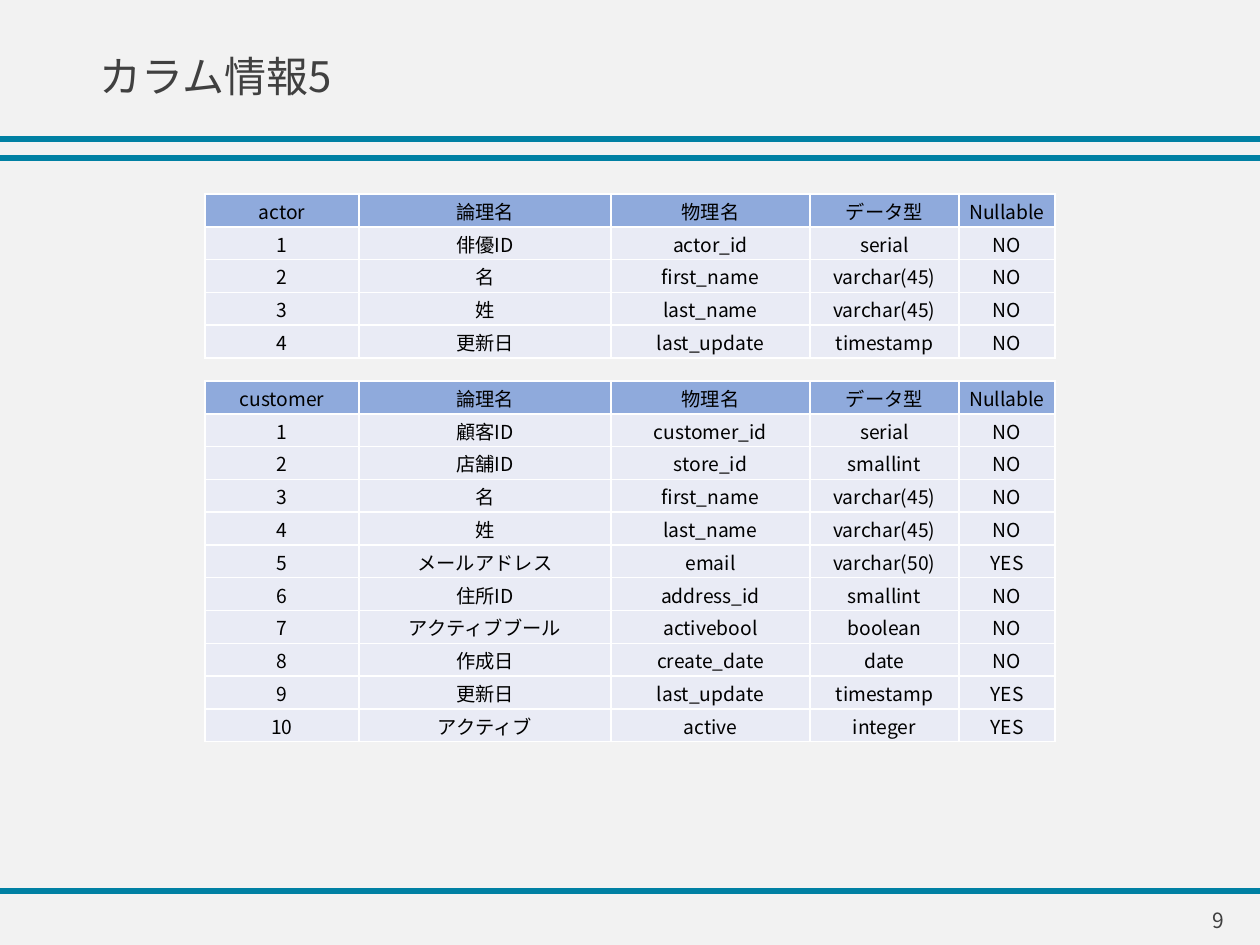
from lxml.etree import SubElement
from pptx import Presentation
from pptx.dml.color import RGBColor
from pptx.enum.shapes import MSO_CONNECTOR
from pptx.enum.text import MSO_ANCHOR, PP_ALIGN
from pptx.oxml.ns import qn
from pptx.util import Inches, Pt

PIXEL = Inches(1) / 126
SLIDE_WIDTH, SLIDE_HEIGHT = 1260, 945
FONT = "Noto Sans CJK JP"

BACKGROUND = RGBColor(0xF2, 0xF2, 0xF2)
RULE = RGBColor(0x00, 0x80, 0xA3)
GREY = RGBColor(0x40, 0x40, 0x40)
BLACK = RGBColor(0x00, 0x00, 0x00)
HEADER = RGBColor(0x8F, 0xAA, 0xDC)
BODY = RGBColor(0xE9, 0xEB, 0xF5)
WHITE = RGBColor(0xFF, 0xFF, 0xFF)

RULE_TOPS = (139, 158, 891)
COLUMN_WIDTHS = (154, 252, 199, 149, 96)
HEADINGS = ("論理名", "物理名", "データ型", "Nullable")

ACTOR_COLUMNS = (
    ("俳優ID", "actor_id", "serial", "NO"),
    ("名", "first_name", "varchar(45)", "NO"),
    ("姓", "last_name", "varchar(45)", "NO"),
    ("更新日", "last_update", "timestamp", "NO"),
)
CUSTOMER_COLUMNS = (
    ("顧客ID", "customer_id", "serial", "NO"),
    ("店舗ID", "store_id", "smallint", "NO"),
    ("名", "first_name", "varchar(45)", "NO"),
    ("姓", "last_name", "varchar(45)", "NO"),
    ("メールアドレス", "email", "varchar(50)", "YES"),
    ("住所ID", "address_id", "smallint", "NO"),
    ("アクティブブール", "activebool", "boolean", "NO"),
    ("作成日", "create_date", "date", "NO"),
    ("更新日", "last_update", "timestamp", "YES"),
    ("アクティブ", "active", "integer", "YES"),
)


def px(length):
    return round(length * PIXEL)


def format_text(text_frame, size, color, alignment):
    paragraph = text_frame.paragraphs[0]
    paragraph.alignment = alignment
    for run in paragraph.runs:
        run.font.size = Pt(size)
        run.font.name = FONT
        run.font.color.rgb = color
        SubElement(run.font._element, qn("a:ea"), typeface=FONT)


def add_rule(slide, left, top, width):
    rule = slide.shapes.add_connector(
        MSO_CONNECTOR.STRAIGHT, px(left), px(top), px(left + width), px(top)
    )
    rule.line.color.rgb = RULE
    rule.line.width = Pt(3)
    SubElement(rule._element.spPr, qn("a:effectLst"))


def place_title(slide, text, left, top, width, height):
    title = slide.shapes.title
    title.left, title.top = px(left), px(top)
    title.width, title.height = px(width), px(height)
    text_frame = title.text_frame
    text_frame.text = text
    text_frame.vertical_anchor = MSO_ANCHOR.MIDDLE
    text_frame.paragraphs[0].line_spacing = 0.9
    format_text(text_frame, 24, GREY, PP_ALIGN.LEFT)


def add_borders(cell):
    properties = cell._tc.get_or_add_tcPr()
    for position, side in enumerate(("a:lnL", "a:lnR", "a:lnT", "a:lnB")):
        border = properties.makeelement(qn(side), {"w": str(Pt(1))})
        properties.insert(position, border)
        fill = SubElement(border, qn("a:solidFill"))
        SubElement(fill, qn("a:srgbClr"), val=str(WHITE))


def fill_cell(cell, text, color):
    cell.text_frame.text = text
    cell.vertical_anchor = MSO_ANCHOR.MIDDLE
    cell.margin_left = cell.margin_right = cell.margin_top = px(1)
    cell.margin_bottom = 0
    cell.fill.solid()
    cell.fill.fore_color.rgb = color
    add_borders(cell)
    format_text(cell.text_frame, 11, BLACK, PP_ALIGN.CENTER)


def add_column_table(slide, name, columns, left, top, height):
    rows = [(name, *HEADINGS)]
    rows += [(str(number), *column) for number, column in enumerate(columns, 1)]
    table = slide.shapes.add_table(
        len(rows), len(COLUMN_WIDTHS),
        px(left), px(top), px(sum(COLUMN_WIDTHS)), px(height),
    ).table
    table.horz_banding = False
    for column, width in zip(table.columns, COLUMN_WIDTHS):
        column.width = px(width)
    for row_index, values in enumerate(rows):
        table.rows[row_index].height = px(height / len(rows))
        color = BODY if row_index else HEADER
        for column_index, value in enumerate(values):
            fill_cell(table.cell(row_index, column_index), value, color)


def add_page_number(slide, number, left, top, width, height):
    text_frame = slide.shapes.add_textbox(
        px(left), px(top), px(width), px(height)
    ).text_frame
    text_frame.word_wrap = True
    text_frame.vertical_anchor = MSO_ANCHOR.MIDDLE
    text_frame.text = number
    format_text(text_frame, 12, GREY, PP_ALIGN.RIGHT)


def main():
    presentation = Presentation()
    presentation.slide_width = px(SLIDE_WIDTH)
    presentation.slide_height = px(SLIDE_HEIGHT)
    slide = presentation.slides.add_slide(presentation.slide_layouts[5])
    slide.background.fill.solid()
    slide.background.fill.fore_color.rgb = BACKGROUND
    for top in RULE_TOPS:
        add_rule(slide, 0, top, SLIDE_WIDTH)
    place_title(slide, "カラム情報5", 87, 19, 820, 120)
    add_column_table(slide, "actor", ACTOR_COLUMNS, 205, 194, 164)
    add_column_table(slide, "customer", CUSTOMER_COLUMNS, 205, 381, 361)
    add_page_number(slide, "9", 954, 895, 283, 50)
    presentation.save("out.pptx")


if __name__ == "__main__":
    main()
